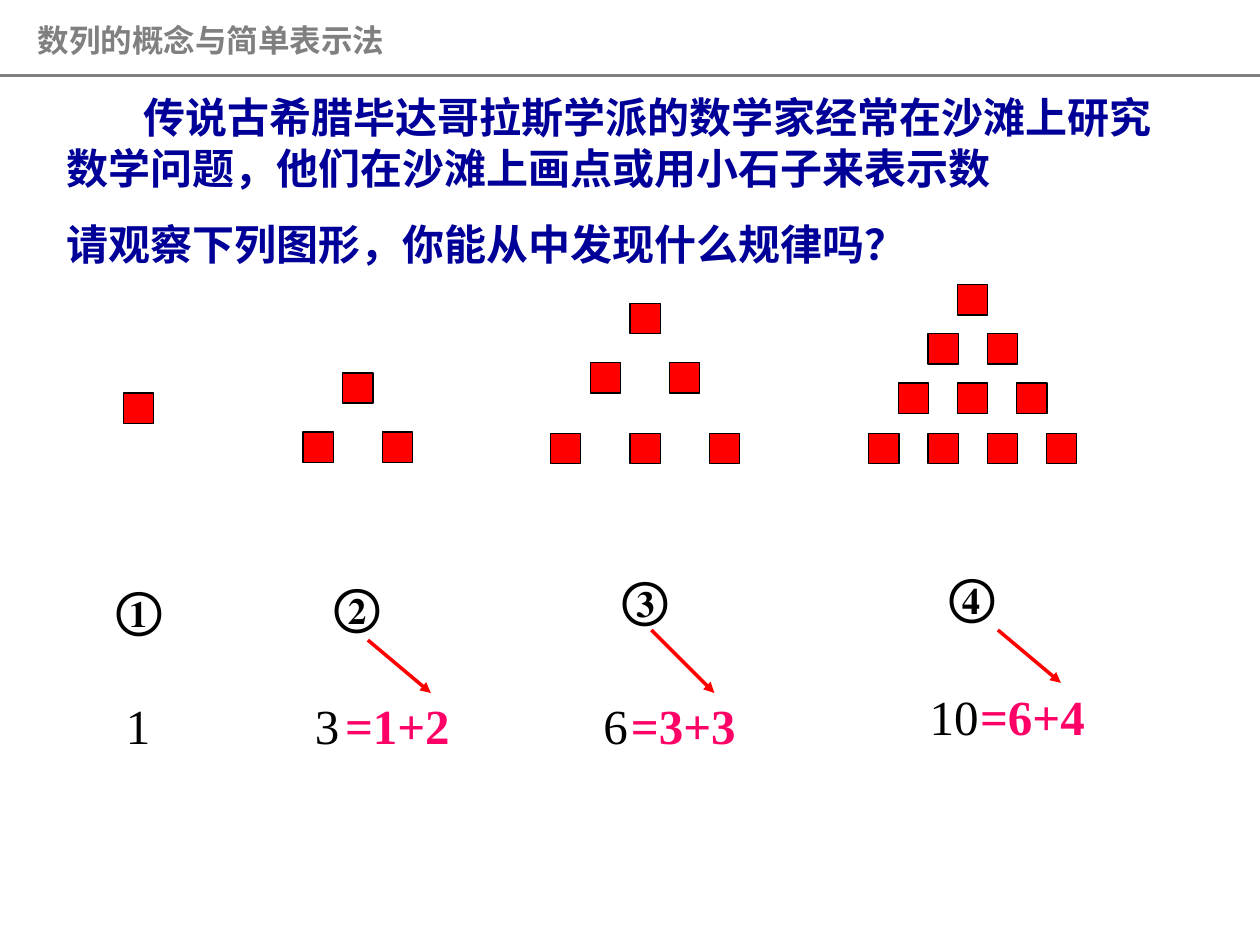
from dataclasses import dataclass
from typing import Optional

from lxml.etree import SubElement
from pptx import Presentation
from pptx.dml.color import RGBColor
from pptx.enum.shapes import MSO_CONNECTOR as Link, MSO_SHAPE as Shape
from pptx.enum.text import MSO_ANCHOR as Anchor, MSO_AUTO_SIZE as Fit, PP_ALIGN as Align
from pptx.oxml.ns import qn
from pptx.util import Inches, Pt

NAVY = RGBColor(0x00, 0x00, 0x99)
RED = RGBColor(0xFF, 0x00, 0x00)
PINK = RGBColor(0xFF, 0x00, 0x66)
GRAY = RGBColor(0x80, 0x80, 0x80)
BLACK = RGBColor(0x00, 0x00, 0x00)

SERIF = "Times New Roman"
SIDE = 0.24
LABEL_H = 0.57


@dataclass
class Label:
    text: str
    left: float
    top: float
    width: float
    color: RGBColor = BLACK
    bold: bool = True


@dataclass
class Figure:
    """A triangle of squares: its apex, row tops and column step, with labels."""
    apex: float
    tops: tuple[float, ...]
    step: float
    labels: tuple[Label, ...]
    arrow: Optional[tuple[float, float, float, float]] = None


FIGURES = [
    Figure(0.98, (3.12,), 0,
           (Label("①", 0.83, 4.54, 0.71),
            Label("1", 0.9, 5.47, 0.79, bold=False))),
    Figure(2.72, (2.96, 3.43), 0.63,
           (Label("②", 2.56, 4.52, 0.87),
            Label("3", 2.4, 5.47, 0.79, bold=False),
            Label("=1+2", 2.64, 5.47, 1.26, PINK)),
           (2.92, 5.08, 3.42, 5.5)),
    Figure(5, (2.41, 2.88, 3.44), 0.63,
           (Label("③", 4.84, 4.46, 0.79),
            Label("6", 4.69, 5.47, 0.79, bold=False),
            Label("=3+3", 4.91, 5.47, 1.26, PINK)),
           (5.17, 5, 5.67, 5.5)),
    Figure(7.6, (2.26, 2.65, 3.04, 3.44), 0.47,
           (Label("④", 7.44, 4.44, 1.18),
            Label("10", 7.28, 5.4, 0.79, bold=False),
            Label("=6+4", 7.68, 5.4, 1.42, PINK)),
           (7.92, 5, 8.42, 5.42)),
]

STORY = ("传说古希腊毕达哥拉斯学派的数学家经常在沙滩上研究数学问题，他们在沙滩上画点或用小石子来表示数",
         "请观察下列图形，你能从中发现什么规律吗？")


def style(para, name: str, size: float, color: RGBColor, bold: bool) -> None:
    font = para.font
    font.name, font.size, font.bold = name, Pt(size), bold
    font.color.rgb = color


def add_box(slide, left: float, top: float, width: float, height: float):
    box = slide.shapes.add_textbox(*map(Inches, (left, top, width, height)))
    box.text_frame.word_wrap = True
    return box.text_frame


def add_line(slide, ends: tuple, color: RGBColor, width: float, arrow: bool = False) -> None:
    line = slide.shapes.add_connector(Link.STRAIGHT, *map(Inches, ends))
    line.line.color.rgb = color
    line.line.width = Pt(width)
    props = line._element.spPr
    if arrow:
        SubElement(props.find(qn("a:ln")), qn("a:tailEnd"), type="triangle")
    SubElement(props, qn("a:effectLst"))


def add_square(shapes, left: float, top: float) -> None:
    square = shapes.add_shape(Shape.RECTANGLE, *map(Inches, (left, top, SIDE, SIDE)))
    square.shadow.inherit = False
    square.fill.solid()
    square.fill.fore_color.rgb = RED
    square.line.color.rgb = BLACK
    square.line.width = Pt(0.75)


def add_label(slide, label: Label) -> None:
    para = add_box(slide, label.left, label.top, label.width, LABEL_H).paragraphs[0]
    para.text = label.text
    style(para, SERIF, 28, label.color, label.bold)


def add_figure(slide, fig: Figure) -> None:
    shapes = slide.shapes
    if len(fig.tops) > 1:
        shapes = shapes.add_group_shape().shapes
    for row, top in enumerate(fig.tops):
        for col in range(row + 1):
            add_square(shapes, fig.apex + (col - row / 2) * fig.step, top)
    for label in fig.labels:
        add_label(slide, label)
    if fig.arrow:
        add_line(slide, fig.arrow, RED, 2, arrow=True)


def add_title(slide) -> None:
    title = slide.shapes.title
    title.left, title.top, title.width, title.height = map(Inches, (0.2, 0.12, 3.2, 0.4))
    frame = title.text_frame
    frame.text = "数列的概念与简单表示法"
    frame.word_wrap = True
    frame.auto_size = Fit.NONE
    frame.vertical_anchor = Anchor.TOP
    para = frame.paragraphs[0]
    para.alignment = Align.LEFT
    style(para, "Arial", 18, GRAY, True)


def add_story(slide) -> None:
    frame = add_box(slide, 0.43, 0.68, 8.9, 1.51)
    frame.text = "\n".join(STORY)
    first, last = frame.paragraphs
    first._p.get_or_add_pPr().set("indent", str(Inches(0.61)))
    last.space_before = Pt(15)
    for para in (first, last):
        style(para, SERIF, 24, NAVY, True)


def main() -> None:
    deck = Presentation()
    deck.slide_width, deck.slide_height = Inches(10), Inches(7.5)
    slide = deck.slides.add_slide(deck.slide_layouts[5])
    add_title(slide)
    add_line(slide, (0, 0.6, 10, 0.6), GRAY, 1.5)
    add_story(slide)
    for fig in FIGURES:
        add_figure(slide, fig)
    deck.save("out.pptx")


if __name__ == "__main__":
    main()
